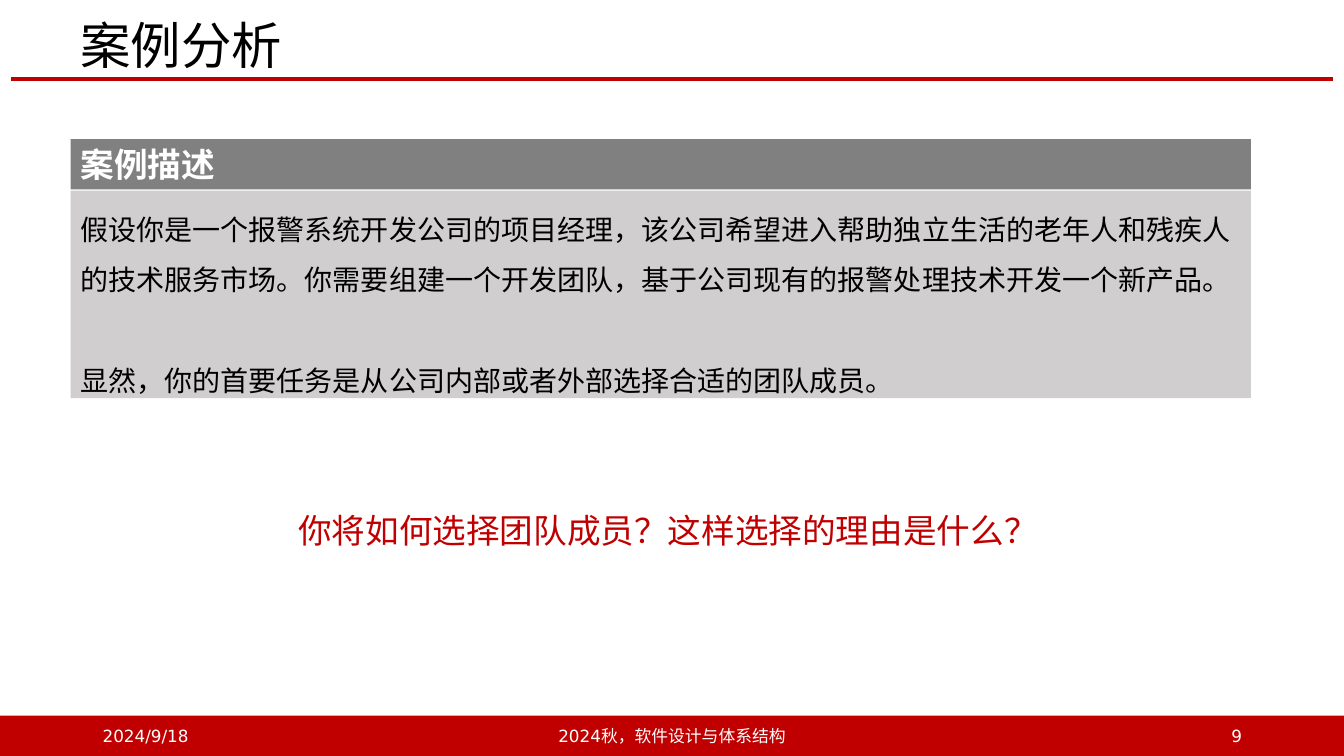
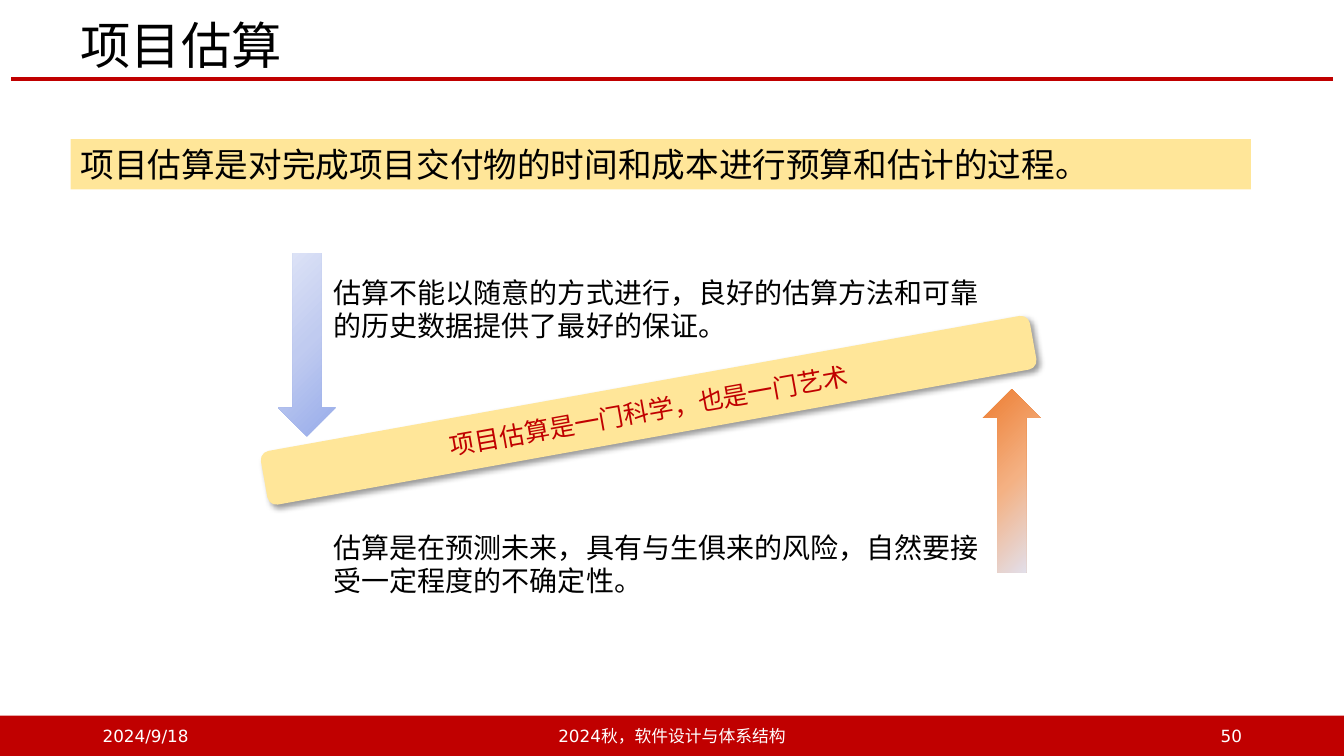
import dataclasses

import pptx
import pptx.dml.color
import pptx.enum.shapes
import pptx.enum.text
import pptx.oxml
import pptx.oxml.ns
import pptx.util

RGBColor = pptx.dml.color.RGBColor
SHAPE = pptx.enum.shapes.MSO_SHAPE
ALIGN = pptx.enum.text.PP_ALIGN
ANCHOR = pptx.enum.text.MSO_ANCHOR

RED = RGBColor(0xC0, 0x00, 0x00)
WHITE = RGBColor(0xFF, 0xFF, 0xFF)
BLACK = RGBColor(0x00, 0x00, 0x00)
DARK_GREY = RGBColor(0x80, 0x80, 0x80)
LIGHT_GREY = RGBColor(0xD0, 0xCE, 0xCE)
YELLOW = RGBColor(0xFF, 0xE6, 0x99)
PALE_BLUE = RGBColor(0xE0, 0xE5, 0xF7)
BLUES = (RGBColor(0x96, 0xAB, 0xEA), RGBColor(0xC0, 0xCB, 0xF0), PALE_BLUE)
ORANGES = (RGBColor(0xED, 0x7D, 0x31), RGBColor(0xF4, 0xB1, 0x83), PALE_BLUE)

HAN_FONT = "Noto Sans CJK SC"
BODY_FONT = "Arial"
LABEL_FONT = "DejaVu Sans"

WIDTH = pptx.util.Inches(13.33)
HEIGHT = pptx.util.Inches(7.5)
COLUMN = WIDTH / 100
ROW = HEIGHT / 100


@dataclasses.dataclass
class Box:
    left: float
    top: float
    width: float
    height: float

    def inner(self, left, top, width, height):
        return Box(self.left + left, self.top + top, width, height)

    def place(self):
        return (round(self.left * COLUMN), round(self.top * ROW),
                round(self.width * COLUMN), round(self.height * ROW))


PAGE = Box(0, 0, 100, 100)
TITLE = PAGE.inner(5.25, 2.4, 87.83, 8)
CONTENT = PAGE.inner(5.25, 18.4, 87.83, 76)
FOOTER = PAGE.inner(0, 94.67, 100, 5.33)
BAR_HEIGHT = 6.67


def write(shape, *texts, size=20, font=BODY_FONT, color=BLACK, bold=False,
          align=ALIGN.LEFT, anchor=ANCHOR.TOP, spacing=None, gap=0, wrap=True):
    frame = shape.text_frame
    frame.word_wrap = wrap
    frame.vertical_anchor = anchor
    for index, text in enumerate(texts):
        para = frame.add_paragraph() if index else frame.paragraphs[0]
        para.alignment = align
        if spacing:
            para.line_spacing = spacing
        if index:
            para.space_before = pptx.util.Pt(gap)
        span = para.add_run()
        span.text = text
        span.font.size = pptx.util.Pt(size)
        span.font.bold = bold
        span.font.color.rgb = color
        span.font.name = font
        east_asian = pptx.oxml.parse_xml(
            f'<a:ea {pptx.oxml.ns.nsdecls("a")} typeface="{HAN_FONT}"/>')
        span._r.get_or_add_rPr().append(east_asian)


def add_text(page, box, *texts, **style):
    write(page.shapes.add_textbox(*box.place()), *texts, **style)


def add_block(page, box, fill=None, kind=SHAPE.RECTANGLE):
    shape = page.shapes.add_shape(kind, *box.place())
    shape.shadow.inherit = False
    shape.line.fill.background()
    if fill is not None:
        shape.fill.solid()
        shape.fill.fore_color.rgb = fill
    return shape


def add_arrow(page, box, colors, rotation=0):
    shape = add_block(page, box, kind=SHAPE.DOWN_ARROW)
    shape.rotation = rotation
    shape.fill.gradient()
    shape.fill.gradient_angle = 135
    stops = shape._element.spPr.find(".//" + pptx.oxml.ns.qn("a:gsLst"))
    for stop in list(stops):
        stops.remove(stop)
    for index, color in enumerate(colors):
        stops.append(pptx.oxml.parse_xml(
            f'<a:gs {pptx.oxml.ns.nsdecls("a")} pos="{index * 50000}">'
            f'<a:srgbClr val="{color}"/></a:gs>'))


def add_shadow(shape):
    effects = shape._element.spPr.find(pptx.oxml.ns.qn("a:effectLst"))
    effects.append(pptx.oxml.parse_xml(
        f'<a:outerShdw {pptx.oxml.ns.nsdecls("a")} blurRad="{pptx.util.Pt(4)}" '
        f'dist="{pptx.util.Pt(3)}" dir="2700000" algn="tl" rotWithShape="0">'
        '<a:srgbClr val="000000"><a:alpha val="40000"/></a:srgbClr></a:outerShdw>'))


def add_header(page, box, title):
    left, right = round(0.83 * COLUMN), round(99.17 * COLUMN)
    level = round((box.top + box.height) * ROW)
    rule = page.shapes.add_connector(
        pptx.enum.shapes.MSO_CONNECTOR.STRAIGHT, left, level, right, level)
    rule.line.color.rgb = RED
    rule.line.width = pptx.util.Pt(3)
    rule._element.spPr.append(pptx.oxml.parse_xml(
        f'<a:effectLst {pptx.oxml.ns.nsdecls("a")}/>'))
    add_text(page, box, title, size=36, font=HAN_FONT,
             anchor=ANCHOR.MIDDLE, spacing=0.9)


def add_footer(page, box, number):
    add_block(page, box, RED)
    for left, width, text, align in (
            (6.9, 22.5, "2024/9/18", ALIGN.LEFT),
            (33.13, 33.75, "2024秋，软件设计与体系结构", ALIGN.CENTER),
            (70.65, 22.5, str(number), ALIGN.RIGHT)):
        add_text(page, box.inner(left, 0, width, box.height), text, size=12,
                 font=LABEL_FONT, color=WHITE, align=align, anchor=ANCHOR.MIDDLE)


def add_page(deck, title, number):
    page = deck.slides.add_slide(deck.slide_layouts[6])
    add_header(page, TITLE, title)
    add_footer(page, FOOTER, number)
    return page


def add_bar(page, box, text, fill, **style):
    bar = add_block(page, box.inner(0, 0, box.width, BAR_HEIGHT), fill)
    write(bar, text, size=24, **style)


def add_case(page, box):
    add_bar(page, box, "案例描述", DARK_GREY, font=LABEL_FONT, color=WHITE, bold=True)
    description = add_block(page, box.inner(0, 6.8, box.width, 27.47), LIGHT_GREY)
    write(description,
          "假设你是一个报警系统开发公司的项目经理，该公司希望进入帮助独立生活的老年人和残疾人"
          "的技术服务市场。你需要组建一个开发团队，基于公司现有的报警处理技术开发一个新产品。",
          "显然，你的首要任务是从公司内部或者外部选择合适的团队成员。",
          spacing=1.5, gap=36)
    add_text(page, box.inner(16.2, 48.4, 57.08, BAR_HEIGHT),
             "你将如何选择团队成员？这样选择的理由是什么？",
             size=24, font=LABEL_FONT, color=RED, wrap=False)


def add_seesaw(page, box):
    for top, text in (
            (2.27, "估算不能以随意的方式进行，良好的估算方法和可靠的历史数据提供了最好的保证。"),
            (36, "估算是在预测未来，具有与生俱来的风险，自然要接受一定程度的不确定性。")):
        add_text(page, box.inner(4.88, top, 50.03, 10.27), text)
    beam = add_block(page, box.inner(0, 17.2, box.width, 7.2), YELLOW,
                     SHAPE.ROUNDED_RECTANGLE)
    beam.rotation = 349.8
    add_shadow(beam)
    write(beam, "项目估算是一门科学，也是一门艺术", size=18, font=LABEL_FONT,
          color=RED, align=ALIGN.CENTER, anchor=ANCHOR.MIDDLE)
    add_arrow(page, box.inner(1.5, 0, 4.28, 24.27), BLUES)
    add_arrow(page, box.inner(53.93, 18, 4.28, 24.27), ORANGES, rotation=180)


def add_estimation(page, box):
    add_bar(page, box, "项目估算是对完成项目交付物的时间和成本进行预算和估计的过程。", YELLOW)
    add_seesaw(page, box.inner(13.95, 15.07, 58.13, 46.27))


def main():
    deck = pptx.Presentation()
    deck.slide_width = WIDTH
    deck.slide_height = HEIGHT
    add_case(add_page(deck, "案例分析", 9), CONTENT)
    add_estimation(add_page(deck, "项目估算", 50), CONTENT)
    deck.save("out.pptx")


if __name__ == "__main__":
    main()
